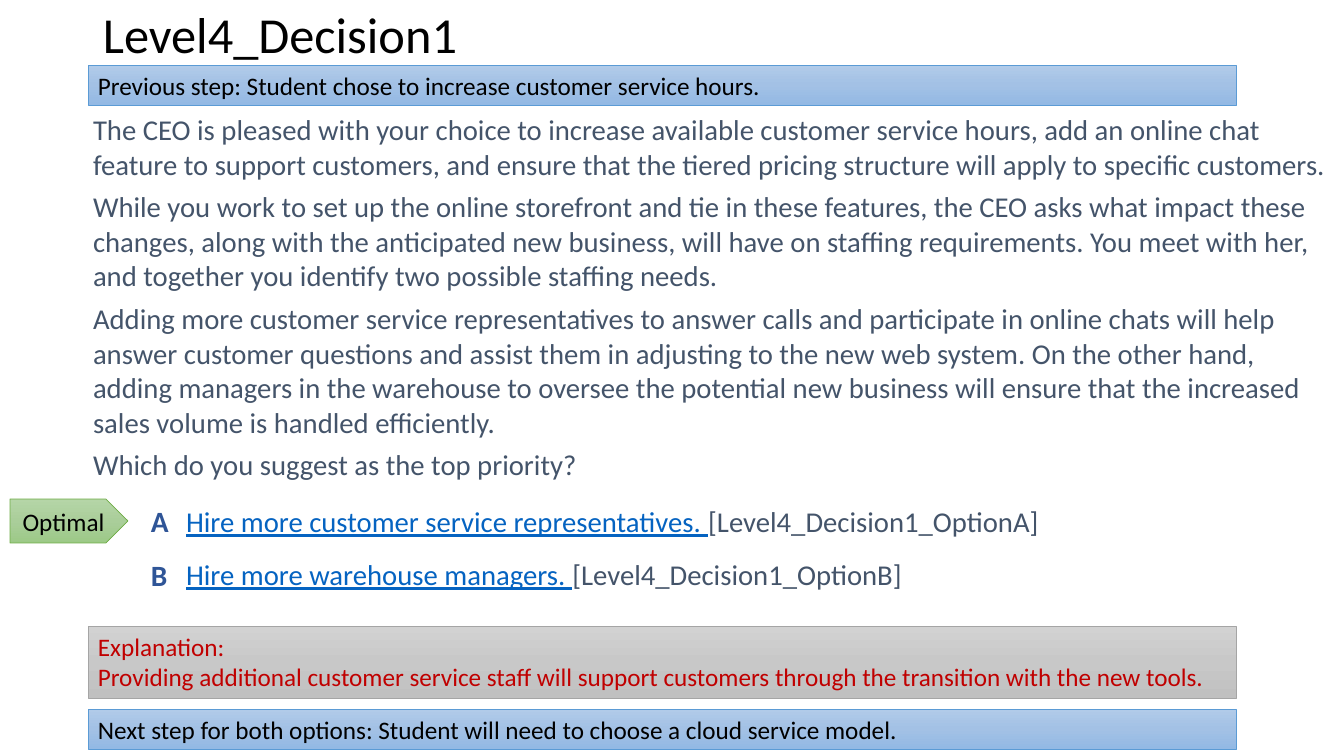
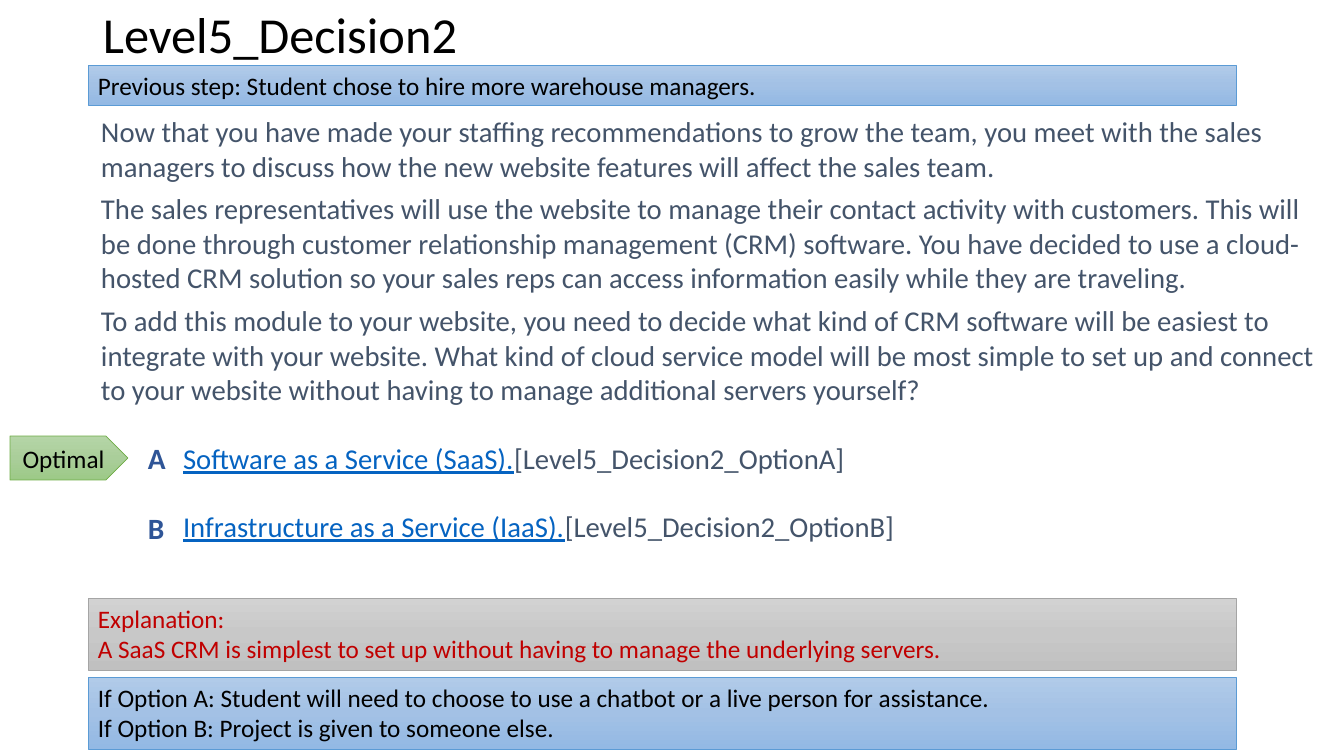
import copy
import dataclasses

import pptx
import pptx.dml.color
import pptx.enum.shapes
import pptx.enum.text
import pptx.oxml.ns
import pptx.util

RGBColor = pptx.dml.color.RGBColor
MSO_SHAPE = pptx.enum.shapes.MSO_SHAPE
MSO_ANCHOR = pptx.enum.text.MSO_ANCHOR
MSO_AUTO_SIZE = pptx.enum.text.MSO_AUTO_SIZE
PP_ALIGN = pptx.enum.text.PP_ALIGN

SLIDE_WIDTH, SLIDE_HEIGHT = 1344, 756
PX_PER_INCH = 100.8
PX_PER_POINT = PX_PER_INCH / 72

FONT = "Calibri"
BLACK = RGBColor(0x00, 0x00, 0x00)
SLATE = RGBColor(0x44, 0x54, 0x6A)
LINK_BLUE = RGBColor(0x05, 0x63, 0xC1)
LETTER_BLUE = RGBColor(0x2F, 0x55, 0x97)
DARK_RED = RGBColor(0xC0, 0x00, 0x00)

# Each style holds the gradient from top to bottom, then the outline.
BLUE_STYLE = ((RGBColor(0xB1, 0xCB, 0xE9), RGBColor(0xA3, 0xC1, 0xE5),
               RGBColor(0x93, 0xB9, 0xE4)), RGBColor(0x5B, 0x9B, 0xD5))
GREY_STYLE = ((RGBColor(0xD2, 0xD2, 0xD2), RGBColor(0xC8, 0xC8, 0xC8),
               RGBColor(0xC0, 0xC0, 0xC0)), RGBColor(0xA5, 0xA5, 0xA5))
GREEN_STYLE = ((RGBColor(0xB5, 0xD5, 0xA7), RGBColor(0xAA, 0xCE, 0x9A),
                RGBColor(0x9C, 0xC9, 0x87)), RGBColor(0x70, 0xAD, 0x47))

BAND_LEFT, BAND_WIDTH = 88, 1148
BAND_HEIGHTS = {1: 40, 2: 72}
PREVIOUS_TOP = 65
NEXT_BOTTOM = 749
BODY_SIZE = 20.5
BODY_LINE_POINTS = 25
BAND_SIZE = 18
LETTER_SIZE = 21
LETTER_OFFSET = 35


@dataclasses.dataclass
class Decision:
    title: str
    previous: str
    body: list
    body_left: int
    body_top: int
    body_height: int
    options: list
    options_left: int
    options_top: int
    option_pitch: int
    explanation: str
    explanation_top: int
    next_steps: list


DECISIONS = [
    Decision(
        title="Level4_Decision1",
        previous="Previous step: Student chose to increase customer service hours.",
        body=[
            "The CEO is pleased with your choice to increase available customer "
            "service hours, add an online chat feature to support customers, and "
            "ensure that the tiered pricing structure will apply to specific customers.",
            "While you work to set up the online storefront and tie in these features, "
            "the CEO asks what impact these changes, along with the anticipated new "
            "business, will have on staffing requirements. You meet with her, and "
            "together you identify two possible staffing needs.",
            "Adding more customer service representatives to answer calls and "
            "participate in online chats will help answer customer questions and "
            "assist them in adjusting to the new web system. On the other hand, adding "
            "managers in the warehouse to oversee the potential new business will "
            "ensure that the increased sales volume is handled efficiently.",
            "Which do you suggest as the top priority?",
        ],
        body_left=80, body_top=105, body_height=389,
        options=[
            ("Hire more customer service representatives. ", "[Level4_Decision1_OptionA]"),
            ("Hire more warehouse managers. ", "[Level4_Decision1_OptionB]"),
        ],
        options_left=173, options_top=497, option_pitch=53,
        explanation="Providing additional customer service staff will support "
                    "customers through the transition with the new tools.",
        explanation_top=626,
        next_steps=["Next step for both options: Student will need to choose a "
                    "cloud service model."],
    ),
    Decision(
        title="Level5_Decision2",
        previous="Previous step: Student chose to hire more warehouse managers.",
        body=[
            "Now that you have made your staffing recommendations to grow the team, "
            "you meet with the sales managers to discuss how the new website features "
            "will affect the sales team.",
            "The sales representatives will use the website to manage their contact "
            "activity with customers. This will be done through customer relationship "
            "management (CRM) software. You have decided to use a cloud-hosted CRM "
            "solution so your sales reps can access information easily while they are "
            "traveling.",
            "To add this module to your website, you need to decide what kind of CRM "
            "software will be easiest to integrate with your website. What kind of "
            "cloud service model will be most simple to set up and connect to your "
            "website without having to manage additional servers yourself?",
        ],
        body_left=88, body_top=107, body_height=305,
        options=[
            ("Software as a Service (SaaS).", "[Level5_Decision2_OptionA]"),
            ("Infrastructure as a Service (IaaS).", "[Level5_Decision2_OptionB]"),
        ],
        options_left=170, options_top=434, option_pitch=69,
        explanation="A SaaS CRM is simplest to set up without having to manage the "
                    "underlying servers.",
        explanation_top=598,
        next_steps=[
            "If Option A: Student will need to choose to use a chatbot or a live "
            "person for assistance.",
            "If Option B: Project is given to someone else.",
        ],
    ),
]


def px(length):
    return pptx.util.Emu(round(length * 914400 / PX_PER_INCH))


def add_run(paragraph, text, size, color, bold=False, underline=False):
    run = paragraph.add_run()
    run.text = text
    run.font.name = FONT
    run.font.size = pptx.util.Pt(size)
    run.font.color.rgb = color
    run.font.bold = bold
    run.font.underline = underline


def add_paragraphs(frame, texts, size, color, alignment=PP_ALIGN.LEFT, space_after=0,
                   bold=False):
    for index, text in enumerate(texts):
        paragraph = frame.add_paragraph() if index else frame.paragraphs[0]
        paragraph.alignment = alignment
        paragraph.space_after = pptx.util.Pt(space_after)
        add_run(paragraph, text, size, color, bold)


def add_text_frame(slide, left, top, width, height):
    """Add a text box with the wide insets of the body text."""
    frame = slide.shapes.add_textbox(px(left), px(top), px(width), px(height)).text_frame
    frame.word_wrap = True
    frame.margin_left = frame.margin_right = px(13)
    frame.margin_top = frame.margin_bottom = px(7)
    return frame


def add_gradient_shape(slide, kind, left, top, width, height, style):
    colors, outline = style
    shape = slide.shapes.add_shape(kind, px(left), px(top), px(width), px(height))
    shape.shadow.inherit = False
    shape.line.color.rgb = outline
    shape.line.width = pptx.util.Pt(0.5)
    shape.fill.gradient()
    shape.fill.gradient_angle = 270
    stop_list = shape._element.spPr.find(".//" + pptx.oxml.ns.qn("a:gsLst"))
    stop_list.insert(1, copy.deepcopy(stop_list[0]))
    for stop, color, position in zip(shape.fill.gradient_stops, colors, (0, 0.5, 1)):
        stop.color.rgb = color
        stop.position = position
    return shape


def add_band(slide, top, texts, style, color=BLACK):
    band = add_gradient_shape(slide, MSO_SHAPE.RECTANGLE, BAND_LEFT, top, BAND_WIDTH,
                              BAND_HEIGHTS[len(texts)], style)
    frame = band.text_frame
    frame.word_wrap = True
    frame.vertical_anchor = MSO_ANCHOR.TOP
    frame.auto_size = MSO_AUTO_SIZE.SHAPE_TO_FIT_TEXT
    add_paragraphs(frame, texts, BAND_SIZE, color)


def add_title(slide, text):
    frame = slide.shapes.add_textbox(px(93), px(2), px(1159), px(71)).text_frame
    frame.word_wrap = True
    frame.vertical_anchor = MSO_ANCHOR.MIDDLE
    add_paragraphs(frame, [text], 36, BLACK)
    frame.paragraphs[0].line_spacing = 0.9


def add_body(slide, decision):
    frame = add_text_frame(slide, decision.body_left, decision.body_top,
                           SLIDE_WIDTH - decision.body_left, decision.body_height)
    add_paragraphs(frame, decision.body, BODY_SIZE, SLATE, space_after=6)


def add_options(slide, decision):
    left, top, pitch = decision.options_left, decision.options_top, decision.option_pitch
    frame = add_text_frame(slide, left, top, SLIDE_WIDTH - left, 120)
    for index, (choice, target) in enumerate(decision.options):
        paragraph = frame.paragraphs[0]
        if index:
            paragraph = frame.add_paragraph()
            paragraph.space_before = pptx.util.Pt(
                round(pitch / PX_PER_POINT - BODY_LINE_POINTS))
        add_run(paragraph, choice, BODY_SIZE, LINK_BLUE, underline=True)
        add_run(paragraph, target, BODY_SIZE, SLATE)
        letter = add_text_frame(slide, left - LETTER_OFFSET, top - 1 + index * (pitch + 1),
                                70, 44)
        add_paragraphs(letter, ["AB"[index]], LETTER_SIZE, LETTER_BLUE, bold=True)


def add_optimal_marker(slide, top):
    marker = add_gradient_shape(slide, MSO_SHAPE.PENTAGON, 10, top, 118, 44, GREEN_STYLE)
    marker.text_frame.word_wrap = True
    marker.text_frame.vertical_anchor = MSO_ANCHOR.MIDDLE
    add_paragraphs(marker.text_frame, ["Optimal"], BAND_SIZE, BLACK, PP_ALIGN.CENTER)


def add_decision_slide(presentation, decision):
    slide = presentation.slides.add_slide(presentation.slide_layouts[6])
    add_body(slide, decision)
    add_options(slide, decision)
    add_title(slide, decision.title)
    add_band(slide, decision.explanation_top, ["Explanation:", decision.explanation],
             GREY_STYLE, DARK_RED)
    add_optimal_marker(slide, decision.options_top + 2)
    next_top = NEXT_BOTTOM - BAND_HEIGHTS[len(decision.next_steps)]
    add_band(slide, next_top, decision.next_steps, BLUE_STYLE)
    add_band(slide, PREVIOUS_TOP, [decision.previous], BLUE_STYLE)


def main():
    presentation = pptx.Presentation()
    presentation.slide_width = px(SLIDE_WIDTH)
    presentation.slide_height = px(SLIDE_HEIGHT)
    for decision in DECISIONS:
        add_decision_slide(presentation, decision)
    presentation.save("out.pptx")


if __name__ == "__main__":
    main()
